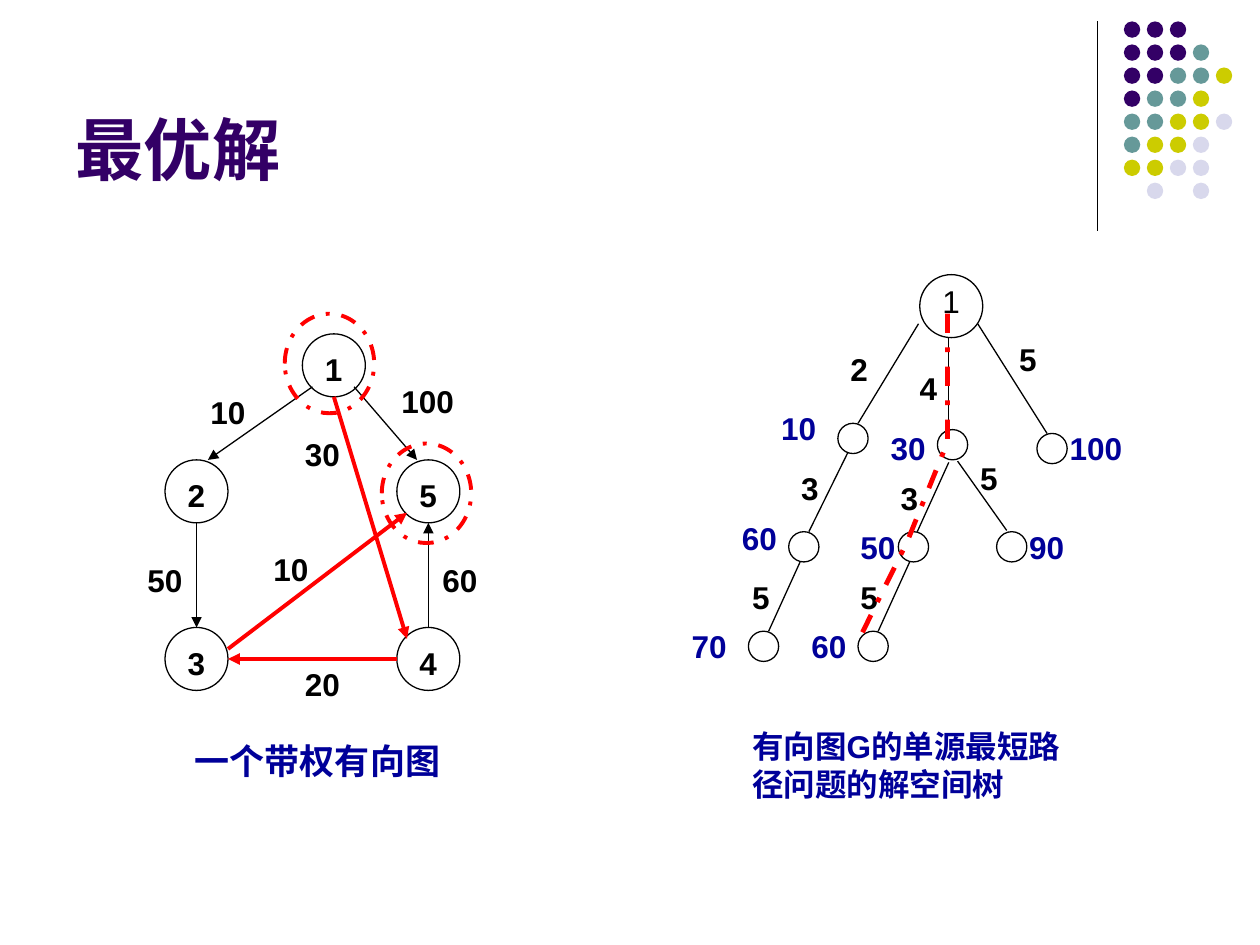
from dataclasses import dataclass, field
from lxml import etree
from pptx import Presentation
from pptx.dml.color import RGBColor
from pptx.enum.dml import MSO_LINE
from pptx.enum.shapes import MSO_CONNECTOR, MSO_SHAPE
from pptx.enum.text import MSO_ANCHOR, PP_ALIGN
from pptx.oxml.ns import qn
from pptx.slide import Slide
from pptx.util import Inches, Pt

LEFT, CENTER = PP_ALIGN.LEFT, PP_ALIGN.CENTER
BOTTOM = MSO_ANCHOR.BOTTOM
DASH_DOT = MSO_LINE.DASH_DOT
OVAL = MSO_SHAPE.OVAL
STRAIGHT = MSO_CONNECTOR.STRAIGHT

COLORS = {"ink": "000000", "label": "000099", "best": "FF0000", "purple": "330066",
          "teal": "669999", "lime": "CCCC00", "lilac": "D8D8EC"}
DOT_COLORS = {"P": "purple", "T": "teal", "L": "lime", "V": "lilac"}
DOT_ROWS = ["PPP", "PPPT", "PPTTL", "PTTL", "TTLLV", "TLLV", "LLVV", " V V"]

GRAPH_NODES = [("1", 2.4, 2.65), ("2", 1.31, 3.65), ("3", 1.31, 4.98),
               ("5", 3.15, 3.65), ("4", 3.15, 4.98)]
GRAPH_EDGES = [((2.48, 3.07), (1.65, 3.65), False), ((2.65, 3.15), (3.23, 5.07), True),
               ((2.81, 3.07), (3.31, 3.65), False), ((3.4, 4.98), (3.4, 4.15), False),
               ((1.56, 4.15), (1.56, 4.98), False), ((1.81, 5.15), (3.23, 4.07), True),
               ((3.15, 5.23), (1.81, 5.23), True)]
GRAPH_WEIGHTS = [("100", 3.06, 2.98, 0.67), ("10", 1.56, 3.07, 0.5), ("50", 1.06, 4.4, 0.5),
                 ("10", 2.06, 4.32, 0.5), ("30", 2.31, 3.4, 0.5), ("60", 3.4, 4.4, 0.5),
                 ("20", 2.31, 5.23, 0.5)]
GRAPH_ENDPOINTS = [(3.03, 3.52), (2.26, 2.49)]

TREE_NODES = [(6.65, 3.36), (8.23, 3.44), (6.26, 4.22), (7.44, 3.41),
              (7.13, 4.22), (7.91, 4.22), (6.81, 5.01), (5.94, 5.01)]
TREE_EDGES = [((7.29, 2.57), (6.81, 3.36)), ((7.76, 2.57), (8.31, 3.44)),
              ((6.73, 3.59), (6.42, 4.22)), ((7.53, 2.68), (7.53, 3.39)),
              ((7.6, 3.66), (7.99, 4.21)), ((7.53, 3.67), (7.28, 4.22)),
              ((7.22, 4.46), (6.97, 5.01)), ((6.35, 4.46), (6.1, 5.01))]
TREE_CHOICES = [("2", 6.65, 2.73), ("5", 7.99, 2.65), ("5", 6.73, 4.54), ("5", 5.87, 4.54),
                ("4", 7.2, 2.88), ("3", 7.05, 3.75), ("3", 6.26, 3.67), ("5", 7.68, 3.59)]
TREE_COSTS = [("10", 6.1, 3.2, 0.55), ("100", 8.39, 3.36, 0.71), ("60", 5.79, 4.07, 0.55),
              ("70", 5.39, 4.93, 0.55), ("60", 6.34, 4.93, 0.55), ("50", 6.73, 4.14, 0.55),
              ("90", 8.07, 4.14, 0.55), ("30", 6.97, 3.36, 0.55)]
BEST_PATH = [(7.52, 2.49), (7.52, 3.51), (7.2, 4.3), (6.81, 5.09)]


def write_text(frame, text, size=18, color="ink", bold=True, align=LEFT, font="Arial"):
    """Put one formatted paragraph into a text frame."""
    paragraph = frame.paragraphs[0]
    paragraph.text = text
    paragraph.alignment = align
    paragraph.font.name = font
    paragraph.font.size = Pt(size)
    paragraph.font.bold = bold
    paragraph.font.color.rgb = RGBColor.from_string(COLORS[color])


@dataclass
class Sketch:
    """Hold the line style and the slide being drawn."""
    slide: Slide
    thin: float = 0.75
    thick: float = 2.25
    colors: dict = field(default_factory=lambda: COLORS)

    def rgb(self, color):
        """Return a named colour."""
        return RGBColor.from_string(self.colors[color])

    def outline(self, line, color="ink", weight=None, dash=None):
        """Format a line."""
        line.color.rgb = self.rgb(color)
        line.width = Pt(weight or self.thin)
        if dash:
            line.dash_style = dash

    def title(self, text, left, top, width, height):
        """Fill and place the title placeholder."""
        heading = self.slide.shapes.title
        heading.left, heading.top = Inches(left), Inches(top)
        heading.width, heading.height = Inches(width), Inches(height)
        heading.text_frame.vertical_anchor = BOTTOM
        write_text(heading.text_frame, text, size=39, color="purple")

    def label(self, text, left, top, width=0.42, height=0.4, **style):
        """Add a text box."""
        box = self.slide.shapes.add_textbox(Inches(left), Inches(top), Inches(width), Inches(height))
        box.text_frame.word_wrap = True
        write_text(box.text_frame, text, **style)

    def oval(self, left, top, width, height, fill=None, **line_style):
        """Add a filled dot, or an outlined ring when no fill is given."""
        ring = self.slide.shapes.add_shape(
            OVAL, Inches(left), Inches(top), Inches(width), Inches(height))
        ring.shadow.inherit = False
        if fill:
            ring.fill.solid()
            ring.fill.fore_color.rgb = self.rgb(fill)
            ring.line.fill.background()
        else:
            ring.fill.background()
            self.outline(ring.line, **line_style)

    def edge(self, start, end, arrow=False, **line_style):
        """Add a straight line, with an arrowhead at its end if wanted."""
        link = self.slide.shapes.add_connector(STRAIGHT, *map(Inches, start + end))
        self.outline(link.line, **line_style)
        properties = link.line._get_or_add_ln()
        if arrow:
            etree.SubElement(properties, qn("a:tailEnd"), type="triangle")
        etree.SubElement(properties.getparent(), qn("a:effectLst"))

    def route(self, points, **line_style):
        """Add an open outline through the points."""
        corners = [(Inches(x), Inches(y)) for x, y in points]
        builder = self.slide.shapes.build_freeform(*corners[0])
        builder.add_line_segments(corners[1:], close=False)
        trail = builder.convert_to_shape()
        trail.shadow.inherit = False
        trail.fill.background()
        self.outline(trail.line, **line_style)


def draw_ornament(sketch):
    """Draw the corner rule and its dots."""
    sketch.edge((8.71, 0.17), (8.71, 1.83))
    for row, codes in enumerate(DOT_ROWS):
        for column, code in enumerate(codes):
            if code in DOT_COLORS:
                sketch.oval(8.92 + 0.73 * column / 4, 0.17 + 1.28 * row / 7,
                            0.13, 0.13, fill=DOT_COLORS[code])


def draw_tree(sketch):
    """Draw the solution space tree."""
    sketch.oval(7.3, 2.18, 0.5, 0.5)
    sketch.label("1", 7.38, 2.19, bold=False)
    for start, end in TREE_EDGES:
        sketch.edge(start, end)
    for left, top in TREE_NODES:
        sketch.oval(left, top, 0.24, 0.24)
    for choice, left, top in TREE_CHOICES:
        sketch.label(choice, left, top)
    for cost, left, top, width in TREE_COSTS:
        sketch.label(cost, left, top, width, color="label")
    sketch.label("有向图G的单源最短路径问题的解空间树", 5.87, 5.72, 2.68, 0.7, color="label")
    sketch.route(BEST_PATH, color="best", weight=2.75, dash=DASH_DOT)


def draw_graph(sketch):
    """Draw the weighted directed graph."""
    for number, left, top in GRAPH_NODES:
        sketch.oval(left, top, 0.5, 0.5)
        sketch.label(number, left + 0.08, top + 0.08)
    for start, end, is_best in GRAPH_EDGES:
        style = {"color": "best", "weight": sketch.thick} if is_best else {}
        sketch.edge(start, end, arrow=True, **style)
    for cost, left, top, width in GRAPH_WEIGHTS:
        sketch.label(cost, left, top, width, align=CENTER)
    sketch.label("一个带权有向图", 1.06, 5.82, 2.92, 0.44, size=20, color="label", align=CENTER)
    for left, top in GRAPH_ENDPOINTS:
        sketch.oval(left, top, 0.71, 0.79, color="best", weight=sketch.thick, dash=DASH_DOT)


def main():
    """Build the slide and save it."""
    deck = Presentation()
    deck.slide_width, deck.slide_height = Inches(10), Inches(7.5)
    sketch = Sketch(deck.slides.add_slide(deck.slide_layouts[5]))
    sketch.title("最优解", 0.5, 0.13, 8.25, 1.42)
    draw_ornament(sketch)
    draw_tree(sketch)
    draw_graph(sketch)
    deck.save("out.pptx")


if __name__ == "__main__":
    main()
